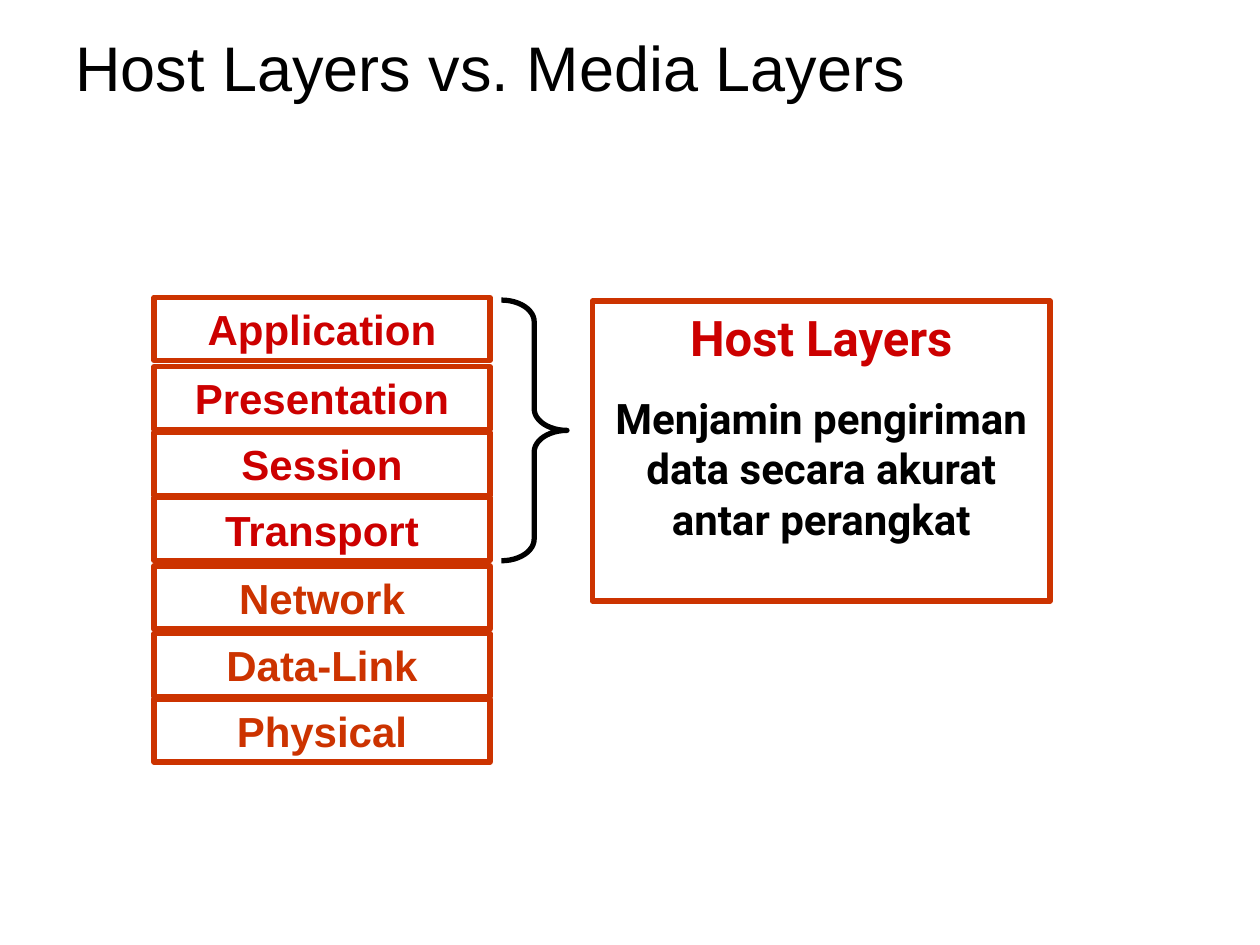
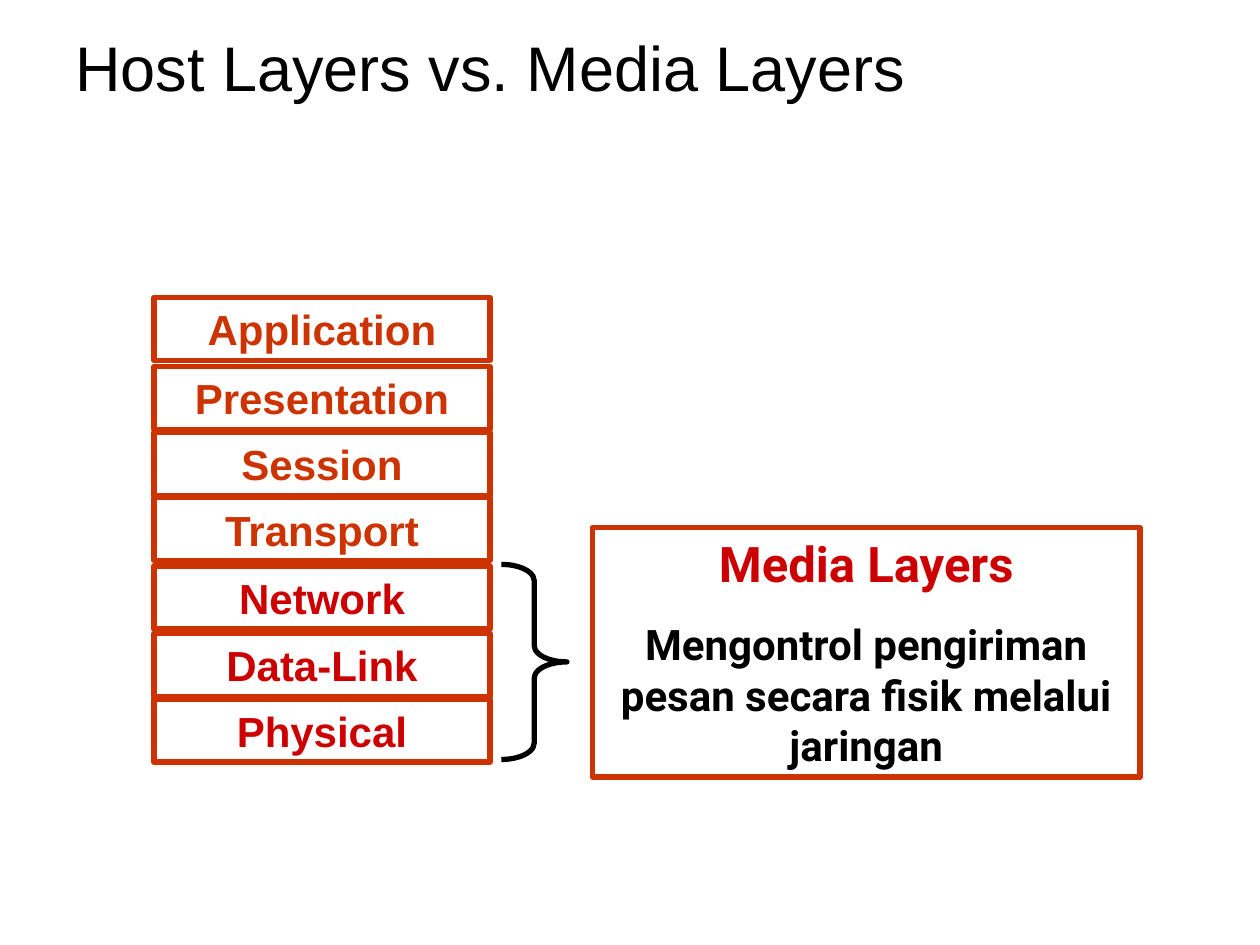
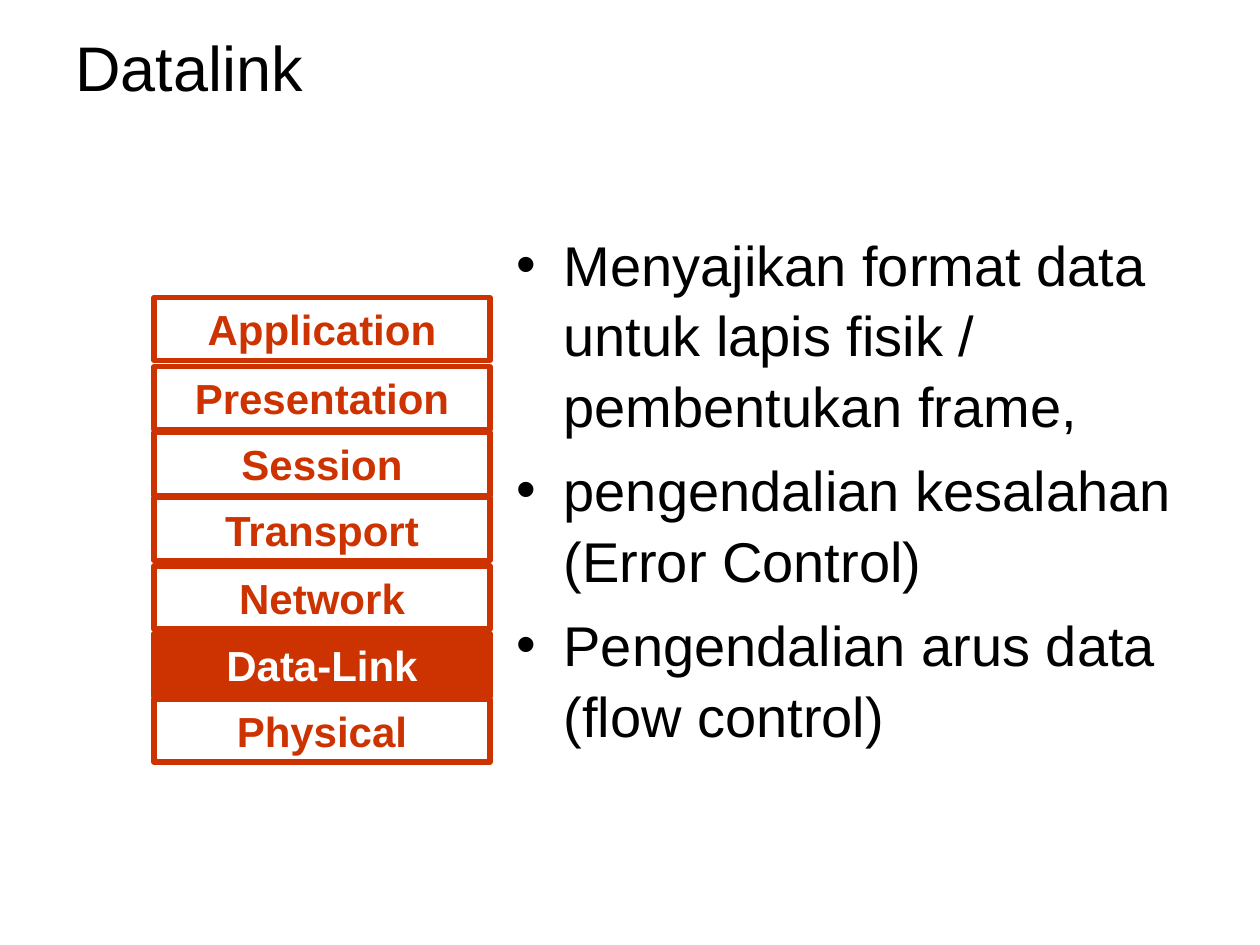
"""Build three slides on the host, media and data-link layers of the network stack."""
from dataclasses import dataclass

from lxml.etree import SubElement
from pptx import Presentation
from pptx.dml.color import RGBColor as Rgb
from pptx.enum.shapes import MSO_SHAPE as Shape
from pptx.enum.text import MSO_ANCHOR as Anchor, MSO_AUTO_SIZE as AutoSize, PP_ALIGN as Align
from pptx.oxml.ns import qn
from pptx.util import Pt


@dataclass(frozen=True)
class Theme:
    ink: Rgb = Rgb(0, 0, 0)
    paper: Rgb = Rgb(0xFF, 0xFF, 0xFF)
    rust: Rgb = Rgb(0xCC, 0x33, 0x00)
    red: Rgb = Rgb(0xCC, 0x00, 0x00)
    font: str = "Arial"
    callout_font: str = "Roboto"
    title_size: float = 36
    bullet_size: float = 32
    heading_size: float = 28
    layer_size: float = 24
    stroke: float = 3


THEME = Theme()

LAYER_TOPS = {
    "Application": 170,
    "Presentation": 209.5,
    "Session": 247,
    "Transport": 284.5,
    "Network": 323.5,
    "Data-Link": 362,
    "Physical": 399.5,
}
STACK_LEFT, LAYER_WIDTH, LAYER_HEIGHT = 88, 192, 36
BRACE_LEFT, BRACE_WIDTH = 286.5, 37.5
CALLOUT_LEFT = 338.5

SLIDES = [
    {
        "title": "Host Layers vs. Media Layers",
        "red": ("Application", "Presentation", "Session", "Transport"),
        "brace": (171.5, 149),
        "callout": (172, 261.5, 171.5),
        "heading": "Host Layers",
        "message": "Menjamin pengiriman data secara akurat antar perangkat",
    },
    {
        "title": "Host Layers vs. Media Layers",
        "red": ("Network", "Data-Link", "Physical"),
        "brace": (322.5, 111.5),
        "callout": (301.5, 313, 142.5),
        "heading": "Media Layers",
        "message": "Mengontrol pengiriman pesan secara fisik melalui jaringan",
    },
    {
        "title": "Datalink",
        "filled": ("Data-Link",),
        "bullets": [
            "Menyajikan format data untuk lapis fisik / pembentukan frame,",
            "pengendalian kesalahan (Error Control)",
            "Pengendalian arus data (flow control)",
        ],
    },
]


def points(*lengths):
    return [Pt(length) for length in lengths]


def style(paragraph, size, color, font=THEME.font, bold=False):
    for run in paragraph.runs:
        run.font.size, run.font.name, run.font.bold = Pt(size), font, bold
        run.font.color.rgb = color


def add_text_area(slide, bounds, text):
    area = slide.shapes.add_textbox(*points(*bounds)).text_frame
    area.word_wrap = True
    area.text = text
    return area


def add_title(slide, title):
    area = add_text_area(slide, (36, 15, 648, 46), title)
    area.vertical_anchor = Anchor.MIDDLE
    style(area.paragraphs[0], THEME.title_size, THEME.ink)


def add_box(slide, bounds, fill, lines):
    box = slide.shapes.add_shape(Shape.RECTANGLE, *points(*bounds))
    box.shadow.inherit = False
    box.fill.solid()
    box.fill.fore_color.rgb = fill
    box.line.color.rgb = THEME.rust
    box.line.width = Pt(THEME.stroke)
    frame = box.text_frame
    frame.word_wrap = True
    frame.auto_size = AutoSize.SHAPE_TO_FIT_TEXT
    frame.vertical_anchor = Anchor.TOP
    frame.text = "\n".join(text for text, *_ in lines)
    for paragraph, (_, size, color, font) in zip(frame.paragraphs, lines):
        paragraph.alignment = Align.CENTER
        paragraph.space_before = Pt(size * 0.625)
        style(paragraph, size, color, font, bold=True)


def add_stack(slide, red=(), filled=()):
    for layer, top in LAYER_TOPS.items():
        fill = THEME.rust if layer in filled else THEME.paper
        color = THEME.paper if layer in filled else THEME.red if layer in red else THEME.rust
        add_box(slide, (STACK_LEFT, top, LAYER_WIDTH, LAYER_HEIGHT), fill,
                [(layer, THEME.layer_size, color, THEME.font)])


def add_brace(slide, top, height):
    brace = slide.shapes.add_shape(Shape.RIGHT_BRACE, *points(BRACE_LEFT, top, BRACE_WIDTH, height))
    brace.shadow.inherit = False
    brace.adjustments[0] = height / 12 / BRACE_WIDTH
    brace.fill.background()
    brace.line.color.rgb = THEME.ink
    brace.line.width = Pt(THEME.stroke)


def add_callout(slide, top, width, height, heading, message):
    add_box(slide, (CALLOUT_LEFT, top, width, height), THEME.paper, [
        (heading, THEME.heading_size, THEME.red, THEME.callout_font),
        (message, THEME.layer_size, THEME.ink, THEME.callout_font),
    ])


def add_bullets(slide, bullets):
    area = add_text_area(slide, (288, 126, 396, 356.5), "\n".join(bullets))
    for paragraph in area.paragraphs:
        paragraph.space_before = Pt(8)
        paragraph.line_spacing = 1.05
        style(paragraph, THEME.bullet_size, THEME.ink)
        properties = paragraph._p.get_or_add_pPr()
        properties.set("marL", str(Pt(27)))
        properties.set("indent", str(-Pt(27)))
        SubElement(properties, qn("a:buFont")).set("typeface", THEME.font)
        SubElement(properties, qn("a:buChar")).set("char", "•")


def main():
    deck = Presentation()
    deck.slide_width, deck.slide_height = points(720, 540)
    for content in SLIDES:
        slide = deck.slides.add_slide(deck.slide_layouts[6])
        add_title(slide, content["title"])
        if "bullets" in content:
            add_bullets(slide, content["bullets"])
        add_stack(slide, content.get("red", ()), content.get("filled", ()))
        if "callout" in content:
            add_brace(slide, *content["brace"])
            add_callout(slide, *content["callout"], content["heading"], content["message"])
    deck.save("out.pptx")


if __name__ == "__main__":
    main()
